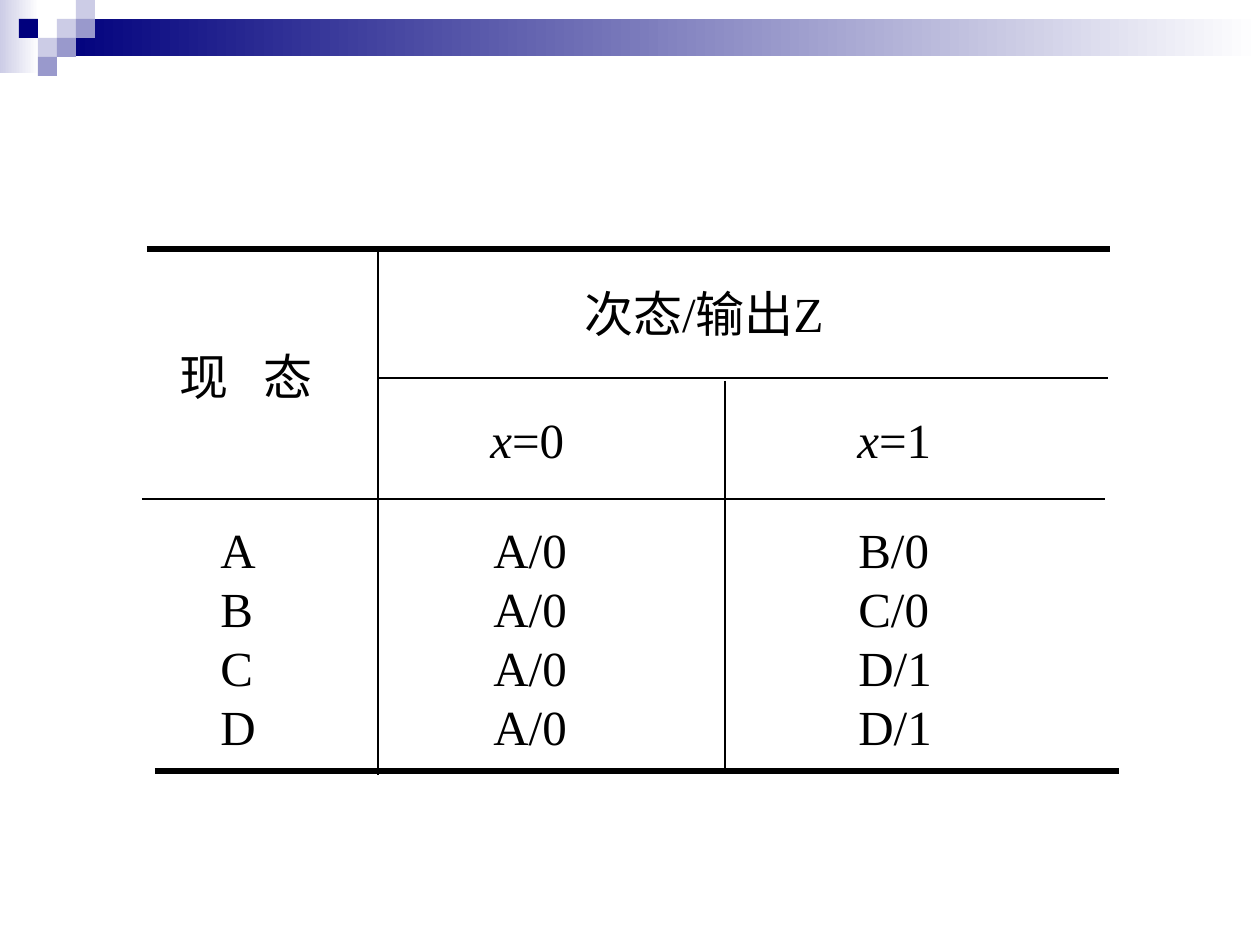
from pptx import Presentation, util as u
from pptx.dml.color import RGBColor
from pptx.enum import shapes, text
from pptx.oxml.ns import qn
from lxml import etree

BLACK = RGBColor(0, 0, 0)
WHITE = RGBColor(255, 255, 255)
NAVY = RGBColor(0x00, 0x00, 0x7D)
MID = RGBColor(0x99, 0x99, 0xCC)
PALE = RGBColor(0xCC, 0xCC, 0xE6)
SCALE = u.Inches(1) / 126
STEP = 19


def emu(*sizes):
    return [round(size * SCALE) for size in sizes]


class Page:
    """Holds the text style and the slide being drawn."""

    font, size, pitch = "Times New Roman", u.Pt(28), u.Pt(33.7)

    def __init__(self, slide):
        self.slide = slide

    def rect(self, box, *colors):
        """Fill with one colour, or with two blended from left to right."""
        shape = self.slide.shapes.add_shape(
            shapes.MSO_SHAPE.RECTANGLE, *emu(*box))
        shape.shadow.inherit = False
        shape.line.fill.background()
        if len(colors) == 1:
            shape.fill.solid()
            shape.fill.fore_color.rgb = colors[0]
            return
        shape.fill.gradient()
        shape.fill.gradient_angle = 0
        for stop, color, place in zip(shape.fill.gradient_stops, colors, (0, 1)):
            stop.color.rgb = color
            stop.position = place

    def rule(self, ends, width):
        line = self.slide.shapes.add_connector(
            shapes.MSO_CONNECTOR.STRAIGHT, *emu(*ends))
        line.line.color.rgb = BLACK
        line.line.width = u.Pt(width)
        etree.SubElement(line._element.spPr, qn("a:effectLst"))

    def label(self, box, *lines):
        """Each line is a list of (words, italic, extra spacing in points)."""
        frame = self.slide.shapes.add_textbox(*emu(*box)).text_frame
        frame.word_wrap = False
        frame.auto_size = text.MSO_AUTO_SIZE.SHAPE_TO_FIT_TEXT
        for i, runs in enumerate(lines):
            para = frame.add_paragraph() if i else frame.paragraphs[0]
            para.line_spacing = self.pitch
            for words, italic, gap in runs:
                run = para.add_run()
                run.text = words
                font = run.font
                font.name, font.size, font.italic = self.font, self.size, italic
                font.color.rgb = BLACK
                if gap:
                    run._r.get_or_add_rPr().set("spc", str(gap * 100))


def plain(words):
    return [(words, False, 0)]


def main():
    deck = Presentation()
    deck.slide_width, deck.slide_height = emu(1260, 945)
    page = Page(deck.slides.add_slide(deck.slide_layouts[6]))

    page.rect((0, 0, 39, 73), PALE, WHITE)
    page.rect((57, 19, 1203, 37), NAVY, WHITE)
    tiles = [(3, 1, PALE), (4, 0, PALE), (4, 1, MID), (2, 2, PALE),
             (1, 1, NAVY), (3, 2, MID), (2, 3, MID)]
    for col, row, color in tiles:
        page.rect((col * STEP, row * STEP, STEP, STEP), color)

    for ends, width in [
        ((147, 249, 1110, 249), 3),
        ((155, 771, 1119, 771), 3),
        ((378, 249, 378, 775), 1.5),
        ((725, 381, 725, 771), 1.5),
        ((378, 378, 1108, 378), 1),
        ((142, 499, 1105, 499), 1),
    ]:
        page.rule(ends, width)

    page.label((167, 340, 168, 72),
               [("现", False, 0), (" ", False, 14), ("态", False, 0)])
    page.label((572, 277, 300, 72), plain("次态/输出Z"))
    for left, value in ((478, 0), (845, 1)):
        page.label((left, 403, 104, 72),
                   [("x", True, 0), (f"={value}", False, 0)])

    columns = [(208, 60, "A B C D"), (481, 104, "A/0 A/0 A/0 A/0"),
               (846, 104, "B/0 C/0 D/1 D/1")]
    for left, width, states in columns:
        page.label((left, 513, width, 248), *map(plain, states.split()))

    deck.save("out.pptx")


if __name__ == "__main__":
    main()
